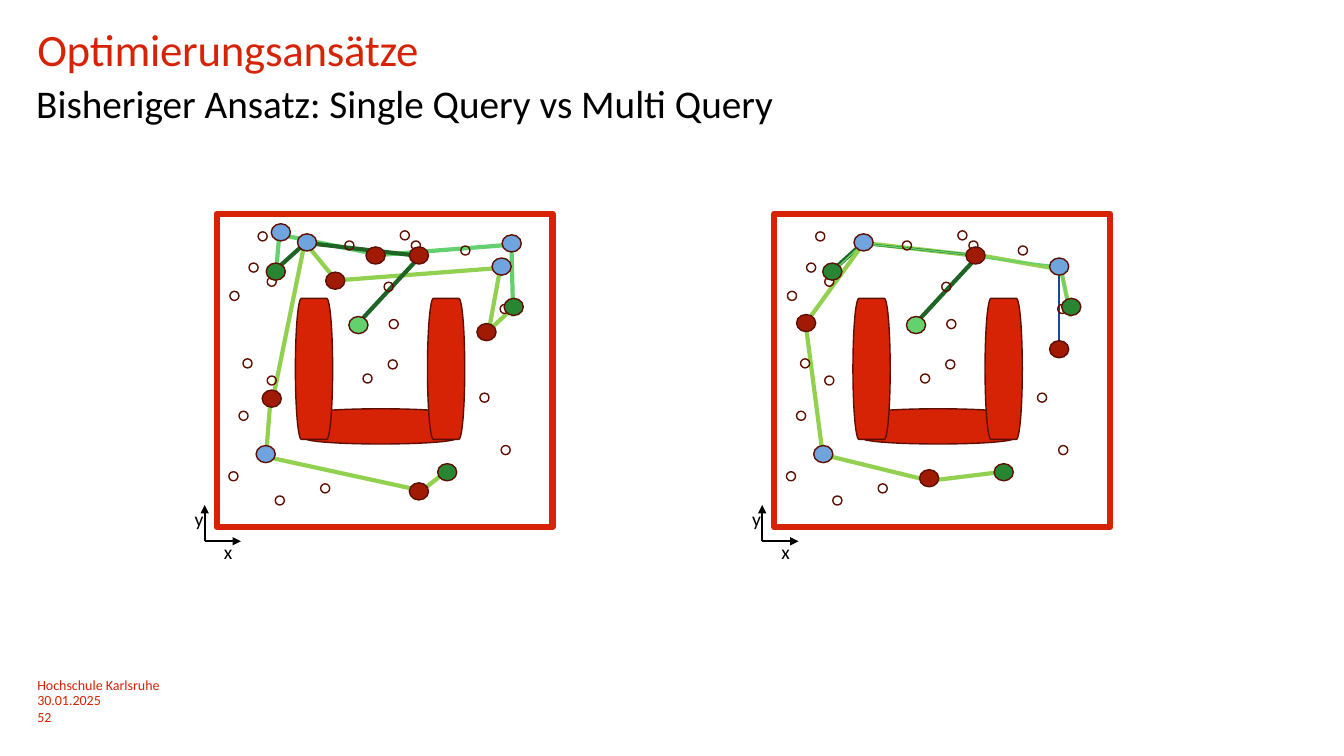
import pptx
import pptx.dml.color
import pptx.enum.shapes
import pptx.enum.text
import pptx.oxml.ns
import pptx.util
from lxml import etree

Inches = pptx.util.Inches
Pt = pptx.util.Pt
Shape = pptx.enum.shapes.MSO_SHAPE
Anchor = pptx.enum.text.MSO_ANCHOR

RED, BLACK, OUTLINE = "D62305", "000000", "5E0F02"
LIME, MINT, FOREST, NAVY = "92D050", "64D16F", "1E6425", "1E4696"
GOAL, WAYPOINT, LINK = "288632", "A01A04", "6FA4DE"
PANEL_SHIFT = 5.53

SAMPLES = [
    (3.42, 2.39), (2.47, 2.61), (2.65, 3.73), (3.86, 3.17), (4.76, 3.9), (3.97, 2.29), (3.18, 4.8),
    (3.6, 3.71), (4.08, 2.39), (4.57, 2.44), (4.97, 4.42), (2.37, 4.08), (2.73, 4.92), (2.65, 2.75),
    (2.56, 2.3), (2.28, 2.89), (3.85, 3.57), (3.81, 2.8), (2.41, 3.56), (4.96, 3.02), (2.27, 4.68),
]
SINGLE_QUERY_ROADS = [
    (4.76, 3.36, 5.16, 2.99, LIME, 3), (4.5, 4.62, 4.09, 4.94, LIME, 3),
    (3.04, 2.32, 2.69, 4.04, LIME, 3), (2.98, 2.35, 3.39, 2.85, LIME, 3),
    (3.23, 2.79, 5.07, 2.65, LIME, 3), (4.98, 2.56, 4.83, 3.38, LIME, 3),
    (2.73, 2.79, 2.78, 2.22, MINT, 3), (5.07, 2.33, 5.09, 3.14, MINT, 3),
    (3.82, 2.54, 2.69, 2.31, MINT, 3), (5.17, 2.42, 3.63, 2.54, MINT, 3),
    (2.72, 2.69, 3.03, 2.41, FOREST, 3), (3.04, 2.41, 4.17, 2.54, FOREST, 3),
    (4.17, 2.54, 3.55, 3.21, FOREST, 3), (2.69, 3.87, 2.64, 4.51, LIME, 3),
    (2.54, 4.51, 4.24, 4.88, LIME, 3),
]
SINGLE_QUERY_NODES = [
    (2.64, 2.61, GOAL), (2.6, 3.87, WAYPOINT), (4.06, 4.79, WAYPOINT), (2.95, 2.32, LINK),
    (2.54, 4.42, LINK), (4.88, 2.56, LINK), (3.23, 2.7, WAYPOINT), (4.34, 4.6, GOAL),
    (5, 2.96, GOAL), (3.63, 2.45, WAYPOINT), (2.69, 2.22, LINK), (4.98, 2.33, LINK),
    (4.73, 3.21, WAYPOINT), (4.06, 2.45, WAYPOINT),
]
MULTI_QUERY_ROADS = [
    (10.5, 2.56, 10.62, 3.14, LIME, 3), (9.7, 2.53, 10.5, 2.67, LIME, 3),
    (8.57, 2.41, 9.7, 2.54, LIME, 3), (9.77, 2.54, 8.47, 2.41, FOREST, 1.5),
    (8.25, 2.69, 8.56, 2.41, FOREST, 3), (8.19, 2.76, 8.63, 2.35, MINT, 1),
    (8.47, 2.41, 9.77, 2.54, MINT, 1), (9.58, 2.54, 10.6, 2.65, MINT, 1),
    (10.62, 3.14, 10.5, 2.56, MINT, 1), (7.99, 3.21, 8.56, 2.42, LIME, 3),
    (7.99, 3.21, 8.16, 4.51, LIME, 3), (10.5, 2.67, 10.5, 3.47, NAVY, 1.5),
    (8.16, 4.51, 9.22, 4.77, LIME, 3), (9.22, 4.77, 9.95, 4.68, LIME, 3),
    (9.7, 2.54, 9.08, 3.21, FOREST, 3),
]
MULTI_QUERY_NODES = [
    (7.9, 3.12, WAYPOINT), (9.12, 4.66, WAYPOINT), (10.41, 3.38, WAYPOINT), (8.47, 2.32, LINK),
    (8.07, 4.42, LINK), (10.41, 2.56, LINK), (9.58, 2.45, WAYPOINT), (9.86, 4.6, GOAL),
    (8.16, 2.61, GOAL), (10.53, 2.96, GOAL),
]


def color(hex_text):
    return pptx.dml.color.RGBColor.from_string(hex_text)


class RoadmapSlide:
    font = "Calibri"

    def __init__(self, deck):
        self.slide = deck.slides.add_slide(deck.slide_layouts[5])
        self.shapes = self.slide.shapes

    def set_text(self, box, text, size, ink, anchor=Anchor.TOP, spacing=None):
        frame = box.text_frame
        frame.text = text
        frame.word_wrap = True
        frame.auto_size = pptx.enum.text.MSO_AUTO_SIZE.NONE
        frame.vertical_anchor = anchor
        frame.margin_left = frame.margin_right = frame.margin_top = frame.margin_bottom = 0
        paragraph = frame.paragraphs[0]
        paragraph.alignment = pptx.enum.text.PP_ALIGN.LEFT
        paragraph.space_before = Pt(0)
        if spacing:
            paragraph.line_spacing = Pt(spacing)
        run = paragraph.runs[0]
        run.font.name = self.font
        run.font.size = Pt(size)
        run.font.color.rgb = color(ink)
        return run

    def title(self, text, left, top, width, height):
        heading = self.slide.shapes.title
        heading.left, heading.top = Inches(left), Inches(top)
        heading.width, heading.height = Inches(width), Inches(height)
        run = self.set_text(heading, text, 32, "D72305", spacing=30)
        run.font._element.set("spc", "-20")

    def text(self, text, left, top, width, height, size, ink, **layout):
        box = self.shapes.add_textbox(Inches(left), Inches(top), Inches(width), Inches(height))
        self.set_text(box, text, size, ink, **layout)

    def shape(self, kind, left, top, width, height, fill=None, line=OUTLINE, weight=1, rotation=0):
        shape = self.shapes.add_shape(kind, Inches(left), Inches(top), Inches(width), Inches(height))
        shape.shadow.inherit = False
        shape.rotation = rotation
        if fill:
            shape.fill.solid()
            shape.fill.fore_color.rgb = color(fill)
        else:
            shape.fill.background()
        shape.line.color.rgb = color(line)
        shape.line.width = Pt(weight)

    def line(self, x1, y1, x2, y2, ink, weight, arrow=False):
        connector = self.shapes.add_connector(
            pptx.enum.shapes.MSO_CONNECTOR.STRAIGHT, Inches(x1), Inches(y1), Inches(x2), Inches(y2))
        connector.line.color.rgb = color(ink)
        connector.line.width = Pt(weight)
        if arrow:
            tail = etree.SubElement(connector.line._get_or_add_ln(), pptx.oxml.ns.qn("a:tailEnd"))
            tail.set("type", "triangle")
        etree.SubElement(connector._element.spPr, pptx.oxml.ns.qn("a:effectLst"))

    def node(self, left, top, fill):
        self.shape(Shape.OVAL, left, top, 0.19, 0.17, fill)

    def panel(self, shift, roads, nodes):
        self.shapes = self.slide.shapes.add_group_shape().shapes
        for road in roads:
            self.line(*road)
        self.shape(Shape.RECTANGLE, 2.15 + shift, 2.12, 3.33, 3.11, line="D72305", weight=4.5)
        self.node(3.46 + shift, 3.14, MINT)
        for left, top, width, height, rotation in (
                (3.6, 3.48, 0.35, 1.5, 90), (2.93, 2.96, 0.37, 1.4, 0), (4.24, 2.96, 0.37, 1.4, 0)):
            self.shape(Shape.FLOWCHART_TERMINATOR, left + shift, top, width, height, RED, rotation=rotation)
        origin = 2.03 + shift
        for tip_x, tip_y in ((origin, 5.01), (origin + 0.36, 5.37)):
            self.line(origin, 5.37, tip_x, tip_y, BLACK, 1.5, arrow=True)
        self.text("x", 2.22 + shift, 5.36, 0.42, 0.17, 14, BLACK)
        self.text("y", 1.93 + shift, 5.03, 0.15, 0.17, 14, BLACK)
        for left, top in SAMPLES:
            self.shape(Shape.OVAL, left + shift, top, 0.09, 0.09)
        for node in nodes:
            self.node(*node)
        self.shapes = self.slide.shapes


def main():
    deck = pptx.Presentation()
    deck.slide_width, deck.slide_height = Inches(13.33), Inches(7.5)
    page = RoadmapSlide(deck)
    page.title("Optimierungsansätze", 0.37, 0.33, 11.93, 0.97)
    page.text("30.01.2025", 0.37, 6.86, 3, 0.15, 10, RED)
    page.text("Hochschule Karlsruhe", 0.37, 6.73, 11.93, 0.15, 10, RED, anchor=Anchor.BOTTOM, spacing=8.4)
    page.text("52", 0.37, 7.03, 3, 0.11, 10, RED)
    page.text("Bisheriger Ansatz: Single Query vs Multi Query", 0.36, 0.79, 9.74, 1.21, 28, BLACK)
    page.panel(0, SINGLE_QUERY_ROADS, SINGLE_QUERY_NODES)
    page.panel(PANEL_SHIFT, MULTI_QUERY_ROADS, MULTI_QUERY_NODES)
    deck.save("out.pptx")


if __name__ == "__main__":
    main()
